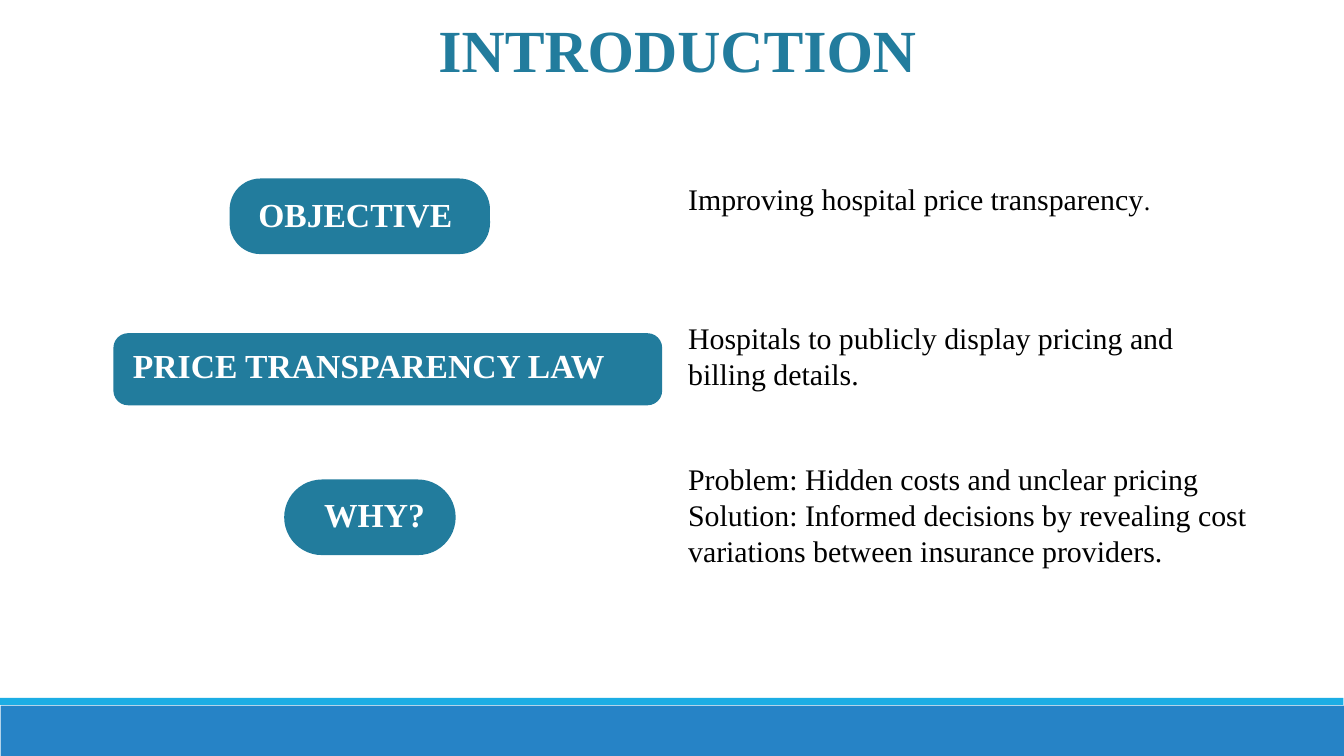
from dataclasses import dataclass

from pptx import Presentation
from pptx.dml.color import RGBColor
from pptx.enum.shapes import MSO_SHAPE
from pptx.enum.text import PP_ALIGN
from pptx.util import Pt

SCALE = 9525  # EMU in one px
RECT = MSO_SHAPE.RECTANGLE
ROUND = MSO_SHAPE.ROUNDED_RECTANGLE
LEFT = PP_ALIGN.LEFT
CENTER = PP_ALIGN.CENTER


@dataclass(frozen=True)
class Theme:
    font: str = "Times New Roman"
    teal: str = "227C9D"
    blue: str = "2683C6"
    sky: str = "1CADE4"
    white: str = "FFFFFF"
    black: str = "000000"
    title: int = 64
    label: int = 36
    body: int = 32
    stop: int = 28
    body_line: float = 38.4


THEME = Theme()

# pill box, corner radius, label place and width, label
PILLS = [
    ((328, 255, 372, 108), 44, (369, 286, 599), "OBJECTIVE"),
    ((162, 476, 784, 103), 21, (190, 503, 764), "PRICE TRANSPARENCY LAW"),
    ((406, 685, 245, 108), 54, (463, 715, 599), "WHY?"),
]

# top, width, height, paragraphs as lists of (text, size) runs
BODY_X = 983
NOTES = [
    (258, 795, 103, [[("Improving hospital price transparency", THEME.body),
                      (".", THEME.stop)]]),
    (457, 759, 154, [[("Hospitals to publicly display pricing and billing details.",
                       THEME.body)]]),
    (658, 856, 211, [[("Problem: Hidden costs and unclear pricing", THEME.body)],
                     [("Solution: Informed decisions by revealing cost variations "
                       "between insurance providers.", THEME.body)]]),
]


def px(*sizes):
    return [size * SCALE for size in sizes]


def add_block(slide, kind, box, color):
    shape = slide.shapes.add_shape(kind, *px(*box))
    shape.shadow.inherit = False
    shape.fill.solid()
    shape.fill.fore_color.rgb = RGBColor.from_string(color)
    shape.line.fill.background()
    return shape


def add_text(slide, box, paras, color, line, bold=False, align=LEFT):
    """Add a text box without insets; paras are lists of (text, size) runs."""
    frame = slide.shapes.add_textbox(*px(*box)).text_frame
    frame.word_wrap = True
    frame.margin_left = frame.margin_top = 0
    frame.margin_right = frame.margin_bottom = 0
    for i, runs in enumerate(paras):
        para = frame.add_paragraph() if i else frame.paragraphs[0]
        para.alignment = align
        para.line_spacing = Pt(line)
        for text, size in runs:
            run = para.add_run()
            run.text = text
            run.font.name = THEME.font
            run.font.size = Pt(size)
            run.font.bold = bold
            run.font.color.rgb = RGBColor.from_string(color)


def add_pill(slide, box, radius, place, label):
    pill = add_block(slide, ROUND, box, THEME.teal)
    pill.adjustments[0] = radius / min(box[2:])
    add_text(slide, (*place, 48), [[(label, THEME.label)]],
             THEME.white, THEME.label, bold=True)


def main():
    deck = Presentation()
    deck.slide_width, deck.slide_height = px(1920, 1080)
    slide = deck.slides.add_slide(deck.slide_layouts[6])

    add_block(slide, RECT, (1, 1008, 1919, 72), THEME.blue)
    add_block(slide, RECT, (0, 997, 1919, 10), THEME.sky)
    add_text(slide, (292, 36, 1351, 86), [[("INTRODUCTION", THEME.title)]],
             THEME.teal, THEME.title, bold=True, align=CENTER)
    for pill in PILLS:
        add_pill(slide, *pill)
    for top, width, height, paras in NOTES:
        add_text(slide, (BODY_X, top, width, height), paras,
                 THEME.black, THEME.body_line)

    deck.save("out.pptx")


if __name__ == "__main__":
    main()
